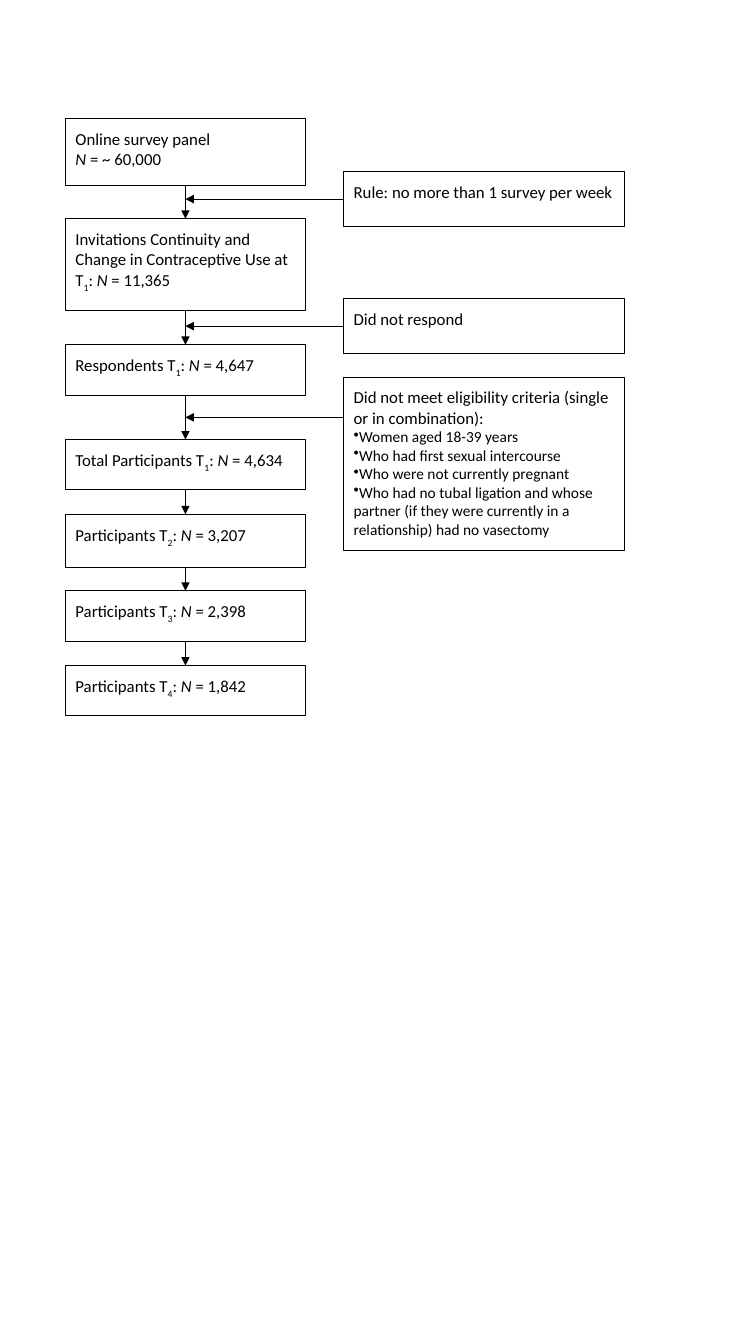
import itertools

import pptx
import pptx.dml.color
import pptx.enum.shapes
import pptx.enum.text
import pptx.oxml
import pptx.oxml.ns
import pptx.util

BLACK = pptx.dml.color.RGBColor(0x00, 0x00, 0x00)
FONT = "Calibri"
GRID = pptx.util.Inches(0.1)
INSET = 1
TOP, LEFT, BOTTOM = 0, 1, 2

FLOW_LEFT, FLOW_WIDTH = 6.5, 23.8
FLOW_CENTER = FLOW_LEFT + FLOW_WIDTH / 2
SIDE_LEFT, SIDE_WIDTH = 34.1, 27.9
ELIGIBILITY_ARROW_ROW = 41.4

FLOW_STEPS = [
    (11.8, 6.6, ["Online survey panel", "|*N| = ~ 60,000"]),
    (21.7, 9.1, ["Invitations Continuity and Change in Contraceptive Use at T|_1|:|* N |= 11,365"]),
    (34.2, 5, ["Respondents T|_1|: |*N| = 4,647"]),
    (43.6, 5, ["Total Participants T|_1|: |*N| = 4,634"]),
    (51, 5.3, ["Participants T|_2|: |*N| = 3,207"]),
    (58.6, 5, ["Participants T|_3|: |*N| = 2,398"]),
    (66, 5, ["Participants T|_4|: |*N| = 1,842"]),
]
EXCLUSIONS = [
    (17, 5.5, ["Rule: no more than 1 survey per week"]),
    (29.6, 5.5, ["Did not respond"]),
]
ELIGIBILITY = ["Did not meet eligibility criteria (single or in combination):"]
CRITERIA = [
    "Women aged 18-39 years",
    "Who had first sexual intercourse",
    "Who were not currently pregnant",
    "Who had no tubal ligation and whose partner (if they were currently in a "
    "relationship) had no vasectomy",
]


def grid(count):
    return pptx.util.Emu(round(count * GRID))


def write_text(paragraph, text, size=12, bullet=False):
    paragraph.alignment = pptx.enum.text.PP_ALIGN.LEFT
    if bullet:
        properties = paragraph._p.get_or_add_pPr()
        character = pptx.oxml.parse_xml(
            f'<a:buChar {pptx.oxml.ns.nsdecls("a")} char="•"/>')
        properties.append(character)
    for piece in filter(None, text.split("|")):
        run = paragraph.add_run()
        run.text = piece.lstrip("_*")
        run.font.name = FONT
        run.font.size = pptx.util.Pt(size)
        run.font.color.rgb = BLACK
        run.font.italic = piece.startswith("*")
        if piece.startswith("_"):
            run.font._element.set("baseline", "-30000")


def add_box(slide, left, top, width, height, lines, bullets=()):
    box = slide.shapes.add_shape(
        pptx.enum.shapes.MSO_SHAPE.RECTANGLE,
        grid(left), grid(top), grid(width), grid(height))
    box.shadow.inherit = False
    box.fill.background()
    box.line.color.rgb = BLACK
    box.line.width = pptx.util.Pt(0.75)
    frame = box.text_frame
    frame.word_wrap = True
    frame.vertical_anchor = pptx.enum.text.MSO_ANCHOR.TOP
    frame.margin_left = frame.margin_right = grid(INSET)
    frame.margin_top = frame.margin_bottom = grid(INSET)
    for index, text in enumerate([*lines, *bullets]):
        paragraph = frame.add_paragraph() if index else frame.paragraphs[0]
        is_bullet = index >= len(lines)
        write_text(paragraph, text, size=11 if is_bullet else 12, bullet=is_bullet)
    return box


def add_arrow(slide, start, end):
    arrow = slide.shapes.add_connector(
        pptx.enum.shapes.MSO_CONNECTOR.STRAIGHT, *map(grid, start + end))
    arrow.line.color.rgb = BLACK
    arrow.line.width = pptx.util.Pt(0.5)
    namespace = pptx.oxml.ns.nsdecls("a")
    arrow.line._get_or_add_ln().append(
        pptx.oxml.parse_xml(f'<a:tailEnd {namespace} type="triangle"/>'))
    arrow._element.spPr.append(pptx.oxml.parse_xml(f"<a:effectLst {namespace}/>"))
    return arrow


def add_flow(slide):
    boxes = [add_box(slide, FLOW_LEFT, top, FLOW_WIDTH, height, lines)
             for top, height, lines in FLOW_STEPS]
    for upper, lower in itertools.pairwise(boxes):
        arrow = add_arrow(slide, (FLOW_CENTER, 0), (FLOW_CENTER, 0))
        arrow.begin_connect(upper, BOTTOM)
        arrow.end_connect(lower, TOP)


def add_exclusions(slide):
    for top, height, lines in EXCLUSIONS:
        box = add_box(slide, SIDE_LEFT, top, SIDE_WIDTH, height, lines)
        middle = top + height / 2
        arrow = add_arrow(slide, (SIDE_LEFT, middle), (FLOW_CENTER, middle))
        arrow.begin_connect(box, LEFT)
    add_box(slide, SIDE_LEFT, 37.4, SIDE_WIDTH, 17.2, ELIGIBILITY, CRITERIA)
    add_arrow(slide, (SIDE_LEFT, ELIGIBILITY_ARROW_ROW),
              (FLOW_CENTER, ELIGIBILITY_ARROW_ROW))


def main():
    presentation = pptx.Presentation()
    presentation.slide_width = pptx.util.Inches(7.5)
    presentation.slide_height = pptx.util.Inches(13.33)
    slide = presentation.slides.add_slide(presentation.slide_layouts[6])
    add_flow(slide)
    add_exclusions(slide)
    presentation.save("out.pptx")


if __name__ == "__main__":
    main()
